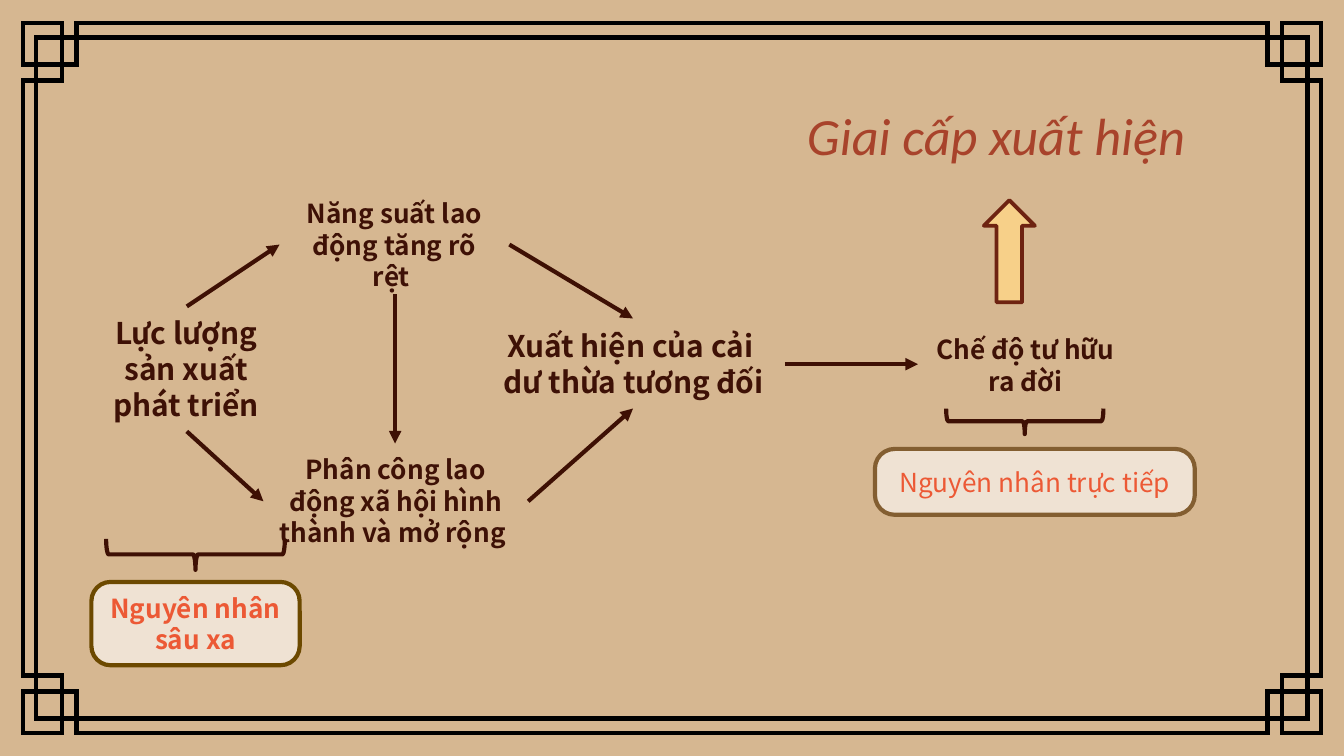
from lxml import etree
from pptx import Presentation
from pptx.dml.color import RGBColor
from pptx.enum.shapes import MSO_CONNECTOR, MSO_SHAPE
from pptx.enum.text import MSO_ANCHOR, PP_ALIGN
from pptx.oxml.ns import qn
from pptx.util import Inches, Pt

STRAIGHT = MSO_CONNECTOR.STRAIGHT
ROUNDED = MSO_SHAPE.ROUNDED_RECTANGLE
BRACE = MSO_SHAPE.LEFT_BRACE
UP_ARROW = MSO_SHAPE.UP_ARROW
MIDDLE = MSO_ANCHOR.MIDDLE
CENTER = PP_ALIGN.CENTER

WIDTH = 10
HEIGHT = WIDTH * 9 / 16
BODY_FONT = "Noto Sans CJK JP"
BROWN = "3E1106"
ARROW_BROWN = "3E1004"
ORANGE = "EC5935"
CREAM = "EFE2D3"


def rgb(value):
    """Turn a hex string into a colour."""
    return RGBColor.from_string(value)


def write_text(shape, text, size=14, color=BROWN, font=BODY_FONT,
               bold=False, italic=False):
    """Fill a shape with centred text, one paragraph per line."""
    frame = shape.text_frame
    frame.word_wrap = True
    frame.vertical_anchor = MIDDLE
    frame.margin_left = frame.margin_right = Inches(0.1)
    frame.margin_top = frame.margin_bottom = Inches(0.1)
    frame.text = text
    for paragraph in frame.paragraphs:
        paragraph.alignment = CENTER
        paragraph.line_spacing = Pt(round(size * 1.2, 1))
        for run in paragraph.runs:
            run.font.size = Pt(size)
            run.font.name = font
            run.font.bold = bold
            run.font.italic = italic
            run.font.color.rgb = rgb(color)


def add_label(slide, box, text, **text_format):
    """Add a free-standing text label."""
    label = slide.shapes.add_textbox(*map(Inches, box))
    write_text(label, text, **text_format)


def style_shape(shape, line, weight=2.25, fill=None):
    """Set outline and fill, and drop the shadow."""
    shape.shadow.inherit = False
    shape.line.color.rgb = rgb(line)
    shape.line.width = Pt(weight)
    if fill:
        shape.fill.solid()
        shape.fill.fore_color.rgb = rgb(fill)
    else:
        shape.fill.background()


def add_outline(slide, kind, box, line, **style):
    """Add a styled preset shape."""
    shape = slide.shapes.add_shape(kind, *map(Inches, box))
    style_shape(shape, line, **style)
    return shape


def add_cause(slide, box, radius, line, text, bold):
    """Add a rounded box that names a cause."""
    cause = add_outline(slide, ROUNDED, box, line, fill=CREAM)
    cause.adjustments[0] = radius
    write_text(cause, text, color=ORANGE, bold=bold)


def add_brace(slide, box):
    """Add a brace that points down."""
    add_outline(slide, BRACE, box, ARROW_BROWN).rotation = 270


def add_arrow(slide, start, end):
    """Add a straight arrow between two points."""
    arrow = slide.shapes.add_connector(STRAIGHT, *map(Inches, start + end))
    arrow.line.color.rgb = rgb(ARROW_BROWN)
    arrow.line.width = Pt(2.25)
    line = arrow._element.spPr.find(qn("a:ln"))
    etree.SubElement(line, qn("a:tailEnd"), type="triangle")
    etree.SubElement(arrow._element.spPr, qn("a:effectLst"))


def mirror(points, flip_x, flip_y):
    """Reflect points across the slide's centre lines."""
    return [(WIDTH - x if flip_x else x, HEIGHT - y if flip_y else y)
            for x, y in points]


def add_frame(slide):
    """Draw the lattice border: stepped outer line, inner line, corner squares."""
    corners = [(False, False), (True, False), (True, True), (False, True)]
    steps = [(0.17, 0.6), (0.46, 0.6), (0.46, 0.48), (0.57, 0.48), (0.57, 0.17)]
    square = [(0.17, 0.17), (0.46, 0.17), (0.46, 0.48), (0.17, 0.48)]
    outer, inner, squares = [], [], []
    for flip_x, flip_y in corners:
        stepped = mirror(steps, flip_x, flip_y)
        outer += stepped[::-1] if flip_x != flip_y else stepped
        inner += mirror([(0.27, 0.28)], flip_x, flip_y)
        squares.append(mirror(square, flip_x, flip_y))

    builder = None
    for contour in [outer, inner] + squares:
        points = [(Inches(x), Inches(y)) for x, y in contour]
        if builder is None:
            builder = slide.shapes.build_freeform(*points[0])
        else:
            builder.move_to(*points[0])
        builder.add_line_segments(points[1:], close=True)
    border = builder.convert_to_shape()
    style_shape(border, "000000", weight=2.4)
    line = border._element.spPr.find(qn("a:ln"))
    etree.SubElement(line, qn("a:miter"), lim="800000")


def main():
    """Build the slide on how classes emerge."""
    deck = Presentation()
    deck.slide_width, deck.slide_height = Inches(WIDTH), Inches(HEIGHT)
    slide = deck.slides.add_slide(deck.slide_layouts[6])
    slide.background.fill.solid()
    slide.background.fill.fore_color.rgb = rgb("D6B791")
    add_frame(slide)

    steps = [
        ((3.59, 2.37, 2.25, 0.67), "Xuất hiện của cải \ndư thừa tương đối", 16),
        ((6.83, 2.42, 1.6, 0.59), "Chế độ tư hữu ra đời", 14),
        ((0.61, 2.28, 1.55, 0.93), "Lực lượng sản xuất phát triển", 16),
        ((2.08, 1.44, 1.71, 0.76), "Năng suất lao động tăng rõ rệt ", 14),
        ((1.96, 3.3, 1.97, 0.85),
         "Phân công lao động xã hội hình thành và mở rộng ", 14),
    ]
    for box, text, size in steps:
        add_label(slide, box, text, size=size, bold=True)
    add_label(slide, (5.54, 0.51, 3.74, 0.99), "Giai cấp xuất hiện", size=28,
              color="A8432B", font="Calibri", italic=True)

    arrows = [
        ((1.39, 2.28), (2.08, 1.82)),
        ((1.39, 3.21), (1.96, 3.73)),
        ((2.94, 2.19), (2.94, 3.3)),
        ((3.79, 1.82), (4.71, 2.37)),
        ((3.93, 3.73), (4.71, 3.04)),
        ((5.84, 2.71), (6.83, 2.71)),
    ]
    for start, end in arrows:
        add_arrow(slide, start, end)

    add_brace(slide, (7.53, 2.55, 0.19, 1.17))
    add_brace(slide, (1.34, 3.46, 0.23, 1.33))
    add_cause(slide, (0.68, 4.33, 1.55, 0.62), 0.23, "6C4900",
              "Nguyên nhân sâu xa", bold=True)
    add_cause(slide, (6.51, 3.34, 2.38, 0.49), 0.3, "835E31",
              "Nguyên nhân trực tiếp", bold=False)
    add_outline(slide, UP_ARROW, (7.32, 1.49, 0.38, 0.76), "6E2311",
                weight=2, fill="F7D089")
    deck.save("out.pptx")


if __name__ == "__main__":
    main()
